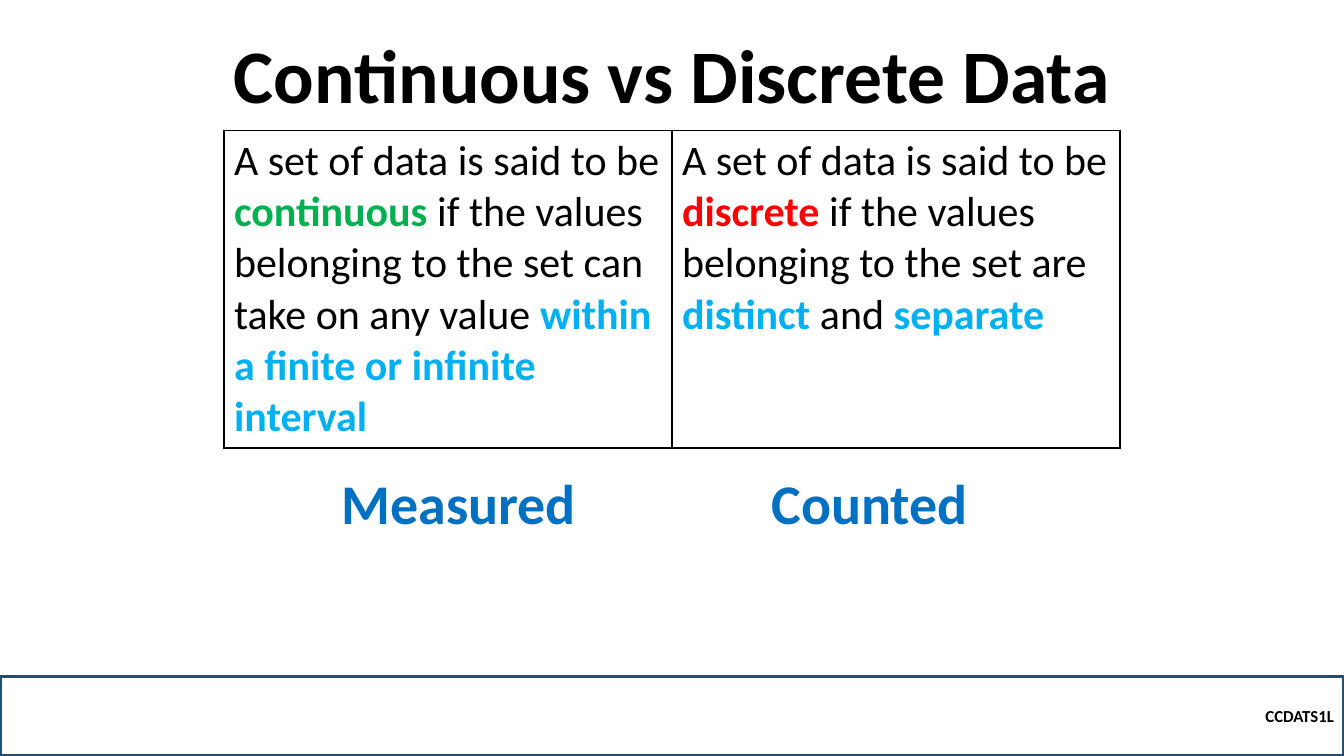
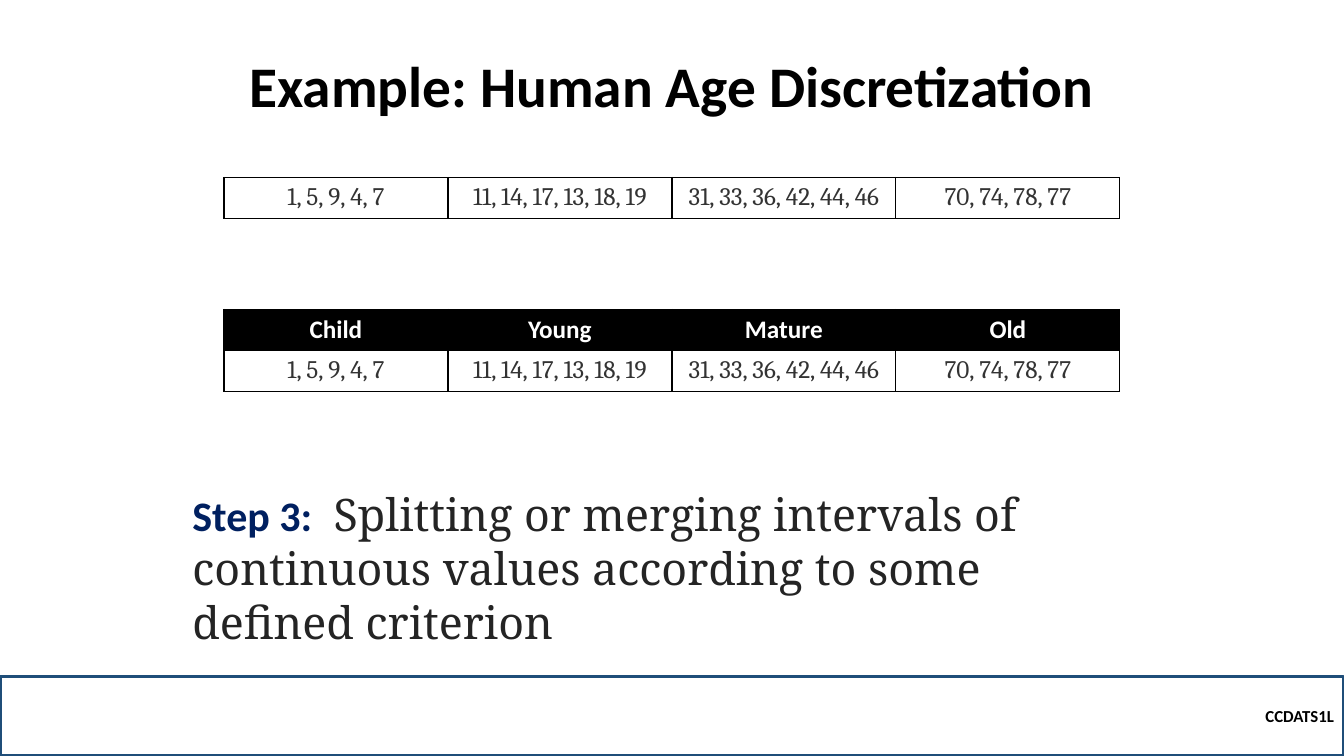
"""Build two slides on continuous and discrete data."""
from dataclasses import dataclass

from lxml import etree
from pptx import Presentation
from pptx.dml.color import RGBColor
from pptx.enum import shapes, text
from pptx.oxml.ns import qn
from pptx.util import Cm, Pt


@dataclass(frozen=True)
class Theme:
    """Colours, fonts and type sizes of the slides."""
    black: str = "000000"
    white: str = "FFFFFF"
    green: str = "00B050"
    red: str = "FF0000"
    sky: str = "00B0F0"
    blue: str = "0070C0"
    navy: str = "002060"
    band: str = "1F4E79"
    charcoal: str = "242424"
    grey: str = "333333"
    sans: str = "Calibri"
    serif: str = "Cambria"
    prose: str = "Noto Serif"
    title: int = 54
    small_title: int = 41
    label: int = 40
    statement: int = 32
    definition: int = 30
    cell: int = 18
    footer: int = 12


THEME = Theme()
WIDTH, HEIGHT = Cm(33.87), Cm(19.05)
BAND_HEIGHT = Cm(2)
TABLE_WIDTH = Cm(22.58)
TABLE_LEFT = (WIDTH - TABLE_WIDTH) // 2
ROW_HEIGHT = Cm(1.03)
CENTER = text.PP_ALIGN.CENTER


def style(size, colour=THEME.black, bold=False, name=THEME.sans):
    """Return the format values of a run."""
    return {"size": Pt(size), "bold": bold, "name": name, "colour": colour}


def assign(target, values):
    """Set each named attribute of the target."""
    for name, value in values.items():
        setattr(target, name, value)


def write(frame, runs, **paragraph_format):
    """Fill the first paragraph of a frame with (wording, style) runs."""
    paragraph = frame.paragraphs[0]
    assign(paragraph, paragraph_format)
    for wording, run_style in runs:
        run = paragraph.add_run()
        run.text = wording
        values = dict(run_style)
        run.font.color.rgb = RGBColor.from_string(values.pop("colour"))
        assign(run.font, values)


def add_slide(presentation, title, size):
    """Add a slide with its title and the footer band."""
    slide = presentation.slides.add_slide(presentation.slide_layouts[5])
    shape = slide.shapes.title
    assign(shape, {"left": Cm(3.13), "top": Cm(1.14),
                   "width": Cm(27.61), "height": Cm(2)})
    assign(shape.text_frame, {"vertical_anchor": text.MSO_ANCHOR.BOTTOM,
                              "auto_size": text.MSO_AUTO_SIZE.NONE,
                              "word_wrap": True})
    write(shape.text_frame, [(title, style(size, bold=True))],
          alignment=CENTER, line_spacing=0.9)
    add_band(slide)
    return slide


def add_band(slide):
    """Add the outlined footer band with the course code."""
    band = slide.shapes.add_shape(shapes.MSO_SHAPE.RECTANGLE, 0,
                                  HEIGHT - BAND_HEIGHT, WIDTH, BAND_HEIGHT)
    band.shadow.inherit = False
    band.fill.background()
    band.line.color.rgb = RGBColor.from_string(THEME.band)
    band.line.width = Pt(2.25)
    band.text_frame.vertical_anchor = text.MSO_ANCHOR.MIDDLE
    write(band.text_frame, [("CCDATS1L", style(THEME.footer, bold=True))],
          alignment=text.PP_ALIGN.RIGHT)


def add_text(slide, left, top, width, height, runs):
    """Add a wrapping text box."""
    box = slide.shapes.add_textbox(Cm(left), Cm(top), Cm(width), Cm(height))
    box.text_frame.word_wrap = True
    write(box.text_frame, runs)


def add_borders(cell):
    """Draw a thin black line on all four sides of a cell."""
    properties = cell._tc.get_or_add_tcPr()
    for index, side in enumerate(("lnL", "lnR", "lnT", "lnB")):
        line = etree.Element(qn(f"a:{side}"), w=str(Pt(1)))
        fill = etree.SubElement(line, qn("a:solidFill"))
        etree.SubElement(fill, qn("a:srgbClr"), val=THEME.black)
        properties.insert(index, line)


def add_table(slide, top, row_height, rows, fills, alignment=None):
    """Add a centred table of run lists with one fill colour per row."""
    columns = len(rows[0])
    table = slide.shapes.add_table(len(rows), columns, TABLE_LEFT, Cm(top),
                                   TABLE_WIDTH, row_height * len(rows)).table
    assign(table, {"first_row": False, "horz_banding": False})
    for row_index, (row, colour) in enumerate(zip(rows, fills)):
        for column_index, runs in enumerate(row):
            cell = table.cell(row_index, column_index)
            cell.fill.solid()
            cell.fill.fore_color.rgb = RGBColor.from_string(colour)
            add_borders(cell)
            write(cell.text_frame, runs, alignment=alignment)


def build_comparison(presentation):
    """Build the slide that compares the two kinds of data."""
    slide = add_slide(presentation, "Continuous vs Discrete Data", THEME.title)
    plain = style(THEME.definition)
    green, red, sky = (style(THEME.definition, colour, True)
                       for colour in (THEME.green, THEME.red, THEME.sky))
    opening = ("A set of data is said to be ", plain)
    continuous = [
        opening, ("continuous", green),
        (" if the values belonging to the set can take on any value ", plain),
        ("within a finite or infinite interval", sky)]
    discrete = [
        opening, ("discrete", red),
        (" if the values belonging to the set are ", plain),
        ("distinct", sky), (" and ", plain), ("separate", sky)]
    add_table(slide, 3.28, Cm(8), [[continuous, discrete]], [THEME.white])
    label = style(THEME.label, THEME.blue, True)
    for left, wording in ((8.36, "Measured"), (19.2, "Counted")):
        add_text(slide, left, 11.68, 6.73, 1.96, [(wording, label)])


def build_example(presentation):
    """Build the slide that sorts ages into named groups."""
    slide = add_slide(presentation, "Example: Human Age Discretization",
                      THEME.small_title)
    groups = {"Child": "1, 5, 9, 4, 7", "Young": "11, 14, 17, 13, 18, 19",
              "Mature": "31, 33, 36, 42, 44, 46", "Old": "70, 74, 78, 77"}
    heading = style(THEME.cell, THEME.white, True)
    figures = style(THEME.cell, THEME.grey, name=THEME.serif)
    names = [[(name, heading)] for name in groups]
    ages = [[(values, figures)] for values in groups.values()]
    add_table(slide, 4.47, ROW_HEIGHT, [ages], [THEME.white], CENTER)
    add_table(slide, 7.8, ROW_HEIGHT, [names, ages],
              [THEME.black, THEME.white], CENTER)
    add_text(slide, 4.6, 12.14, 24.66, 3, [
        ("Step 3: ", style(THEME.definition, THEME.navy, True)),
        (" Splitting or merging intervals of continuous values according to "
         "some defined criterion",
         style(THEME.statement, THEME.charcoal, name=THEME.prose))])


def main():
    """Build and save the presentation."""
    presentation = Presentation()
    assign(presentation, {"slide_width": WIDTH, "slide_height": HEIGHT})
    build_comparison(presentation)
    build_example(presentation)
    presentation.save("out.pptx")


if __name__ == "__main__":
    main()
